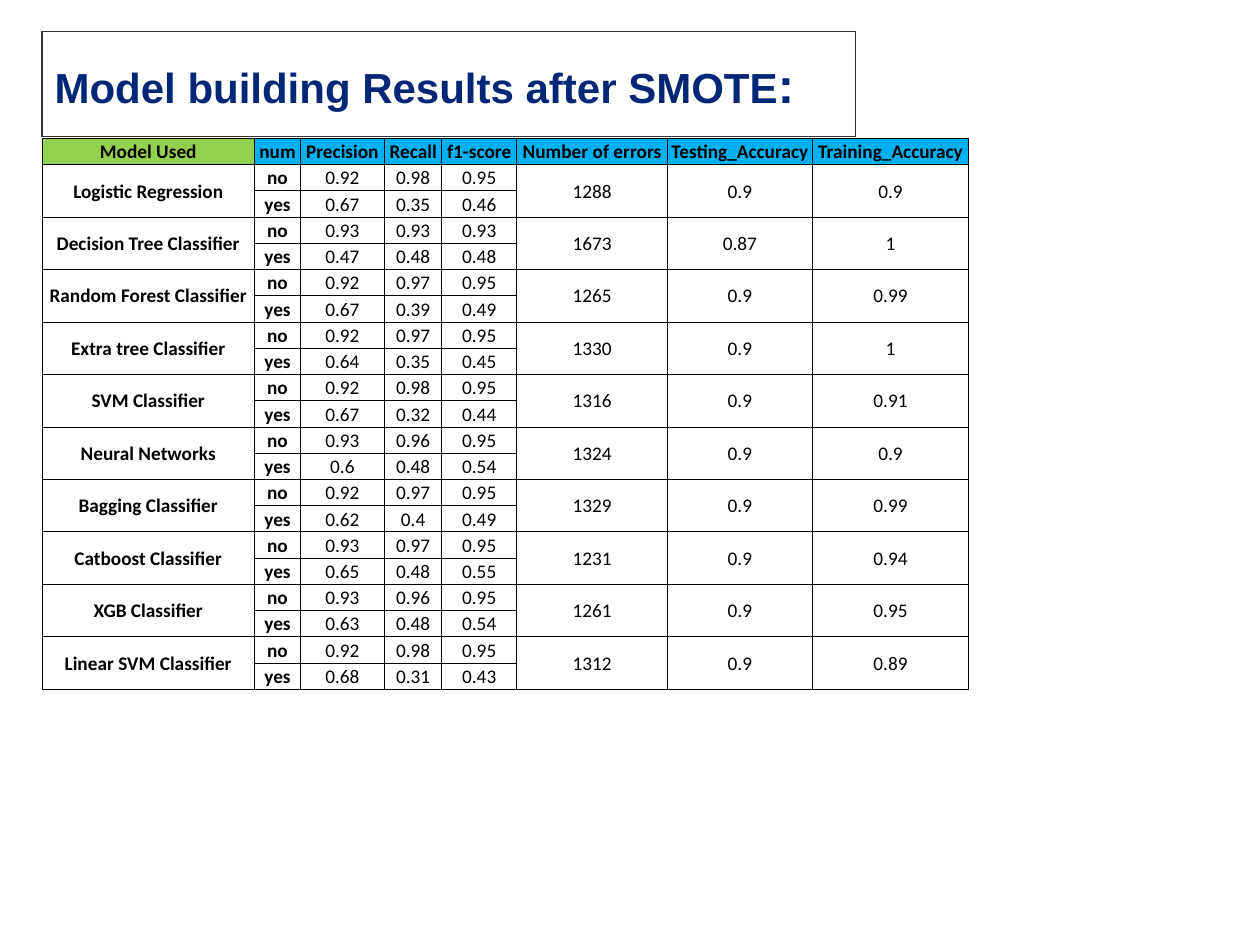
from dataclasses import dataclass

from lxml import etree
from pptx import Presentation
from pptx.dml.color import RGBColor
from pptx.enum.text import MSO_ANCHOR, MSO_AUTO_SIZE, PP_ALIGN
from pptx.oxml.ns import qn
from pptx.slide import Slide
from pptx.table import Table, _Cell
from pptx.util import Pt

MIDDLE = MSO_ANCHOR.MIDDLE
GROW = MSO_AUTO_SIZE.SHAPE_TO_FIT_TEXT
LEFT, CENTER = PP_ALIGN.LEFT, PP_ALIGN.CENTER
TITLE_ONLY = 5


@dataclass(frozen=True)
class Theme:
    navy: str = "002776"
    frame: str = "333333"
    white: str = "FFFFFF"
    black: str = "000000"
    green: str = "92D050"
    blue: str = "00B0F0"
    head_font: str = "Arial"
    cell_font: str = "Calibri"
    head_size: float = 24
    colon_size: float = 28
    cell_size: float = 11
    frame_width: float = 0.75
    grid_width: float = 0.5


@dataclass(frozen=True)
class Model:
    name: str
    no: tuple[str, str, str]
    yes: tuple[str, str, str]
    errors: str
    test: str
    train: str


THEME = Theme()
EDGE = 24
TABLE_TOP = 79
ROW = 15
INSET = 0.75
WIDTHS = (121.5, 26.2, 48, 32.8, 42.8, 86.2, 82.8, 89.4)
HEADS = ("Model Used", "num", "Precision", "Recall", "f1-score",
         "Number of errors", "Testing_Accuracy", "Training_Accuracy")
MERGED = (0, 5, 6, 7)
BOLD = (0, 1)
MODELS = (
    Model("Logistic Regression", ("0.92", "0.98", "0.95"),
          ("0.67", "0.35", "0.46"), "1288", "0.9", "0.9"),
    Model("Decision Tree Classifier", ("0.93", "0.93", "0.93"),
          ("0.47", "0.48", "0.48"), "1673", "0.87", "1"),
    Model("Random Forest Classifier", ("0.92", "0.97", "0.95"),
          ("0.67", "0.39", "0.49"), "1265", "0.9", "0.99"),
    Model("Extra tree Classifier", ("0.92", "0.97", "0.95"),
          ("0.64", "0.35", "0.45"), "1330", "0.9", "1"),
    Model("SVM Classifier", ("0.92", "0.98", "0.95"),
          ("0.67", "0.32", "0.44"), "1316", "0.9", "0.91"),
    Model("Neural Networks", ("0.93", "0.96", "0.95"),
          ("0.6", "0.48", "0.54"), "1324", "0.9", "0.9"),
    Model("Bagging Classifier", ("0.92", "0.97", "0.95"),
          ("0.62", "0.4", "0.49"), "1329", "0.9", "0.99"),
    Model("Catboost Classifier", ("0.93", "0.97", "0.95"),
          ("0.65", "0.48", "0.55"), "1231", "0.9", "0.94"),
    Model("XGB Classifier", ("0.93", "0.96", "0.95"),
          ("0.63", "0.48", "0.54"), "1261", "0.9", "0.95"),
    Model("Linear SVM Classifier", ("0.92", "0.98", "0.95"),
          ("0.68", "0.31", "0.43"), "1312", "0.9", "0.89"),
)


def rgb(code: str) -> RGBColor:
    return RGBColor.from_string(code)


def add_title(slide: Slide) -> None:
    title = slide.shapes.title
    title.left, title.top = Pt(EDGE), Pt(27.5)
    title.width, title.height = Pt(465), Pt(41)
    title.fill.solid()
    title.fill.fore_color.rgb = rgb(THEME.white)
    title.line.color.rgb = rgb(THEME.frame)
    title.line.width = Pt(THEME.frame_width)
    frame = title.text_frame
    frame.auto_size = GROW
    frame.word_wrap = True
    line = frame.paragraphs[0]
    line.alignment = LEFT
    line.font.name = THEME.head_font
    line.font.bold = True
    line.font.color.rgb = rgb(THEME.navy)
    for text, size in (("Model building Results after SMOTE", THEME.head_size),
                       (":", THEME.colon_size)):
        run = line.add_run()
        run.text = text
        run.font.size = Pt(size)


def add_grid(cell: _Cell) -> None:
    props = cell._tc.get_or_add_tcPr()
    for spot, side in enumerate(("lnL", "lnR", "lnT", "lnB")):
        line = etree.Element(qn(f"a:{side}"), w=str(Pt(THEME.grid_width)))
        fill = etree.SubElement(line, qn("a:solidFill"))
        etree.SubElement(fill, qn("a:srgbClr"), val=THEME.black)
        props.insert(spot, line)


def style_cell(cell: _Cell, bold: bool, fill: str | None) -> None:
    cell.margin_left = cell.margin_right = cell.margin_top = Pt(INSET)
    cell.margin_bottom = 0
    cell.vertical_anchor = MIDDLE
    if fill:
        cell.fill.solid()
        cell.fill.fore_color.rgb = rgb(fill)
    else:
        cell.fill.background()
    add_grid(cell)
    line = cell.text_frame.paragraphs[0]
    line.alignment = CENTER
    line.font.name = THEME.cell_font
    line.font.size = Pt(THEME.cell_size)
    line.font.bold = bold
    line.font.color.rgb = rgb(THEME.black)


def fill_row(table: Table, row: int, texts: tuple[str, ...]) -> None:
    for col, text in enumerate(texts):
        cell = table.cell(row, col)
        cell.text = text
        fill = None
        if row == 0:
            fill = THEME.blue if col else THEME.green
        style_cell(cell, row == 0 or col in BOLD, fill)


def add_results(slide: Slide) -> None:
    rows = 1 + 2 * len(MODELS)
    table = slide.shapes.add_table(
        rows, len(WIDTHS), Pt(EDGE), Pt(TABLE_TOP),
        Pt(sum(WIDTHS)), Pt(ROW * rows)).table
    table.first_row = table.horz_banding = False
    for column, width in zip(table.columns, WIDTHS):
        column.width = Pt(width)
    for row in table.rows:
        row.height = Pt(ROW)
    fill_row(table, 0, HEADS)
    for spot, model in enumerate(MODELS):
        top = 1 + 2 * spot
        fill_row(table, top, (model.name, "no", *model.no,
                              model.errors, model.test, model.train))
        fill_row(table, top + 1, ("", "yes", *model.yes, "", "", ""))
        for col in MERGED:
            table.cell(top, col).merge(table.cell(top + 1, col))


def main() -> None:
    """Build the slide of model results and save it."""
    deck = Presentation()
    deck.slide_width, deck.slide_height = Pt(720), Pt(540)
    slide = deck.slides.add_slide(deck.slide_layouts[TITLE_ONLY])
    add_title(slide)
    add_results(slide)
    deck.save("out.pptx")


if __name__ == "__main__":
    main()
